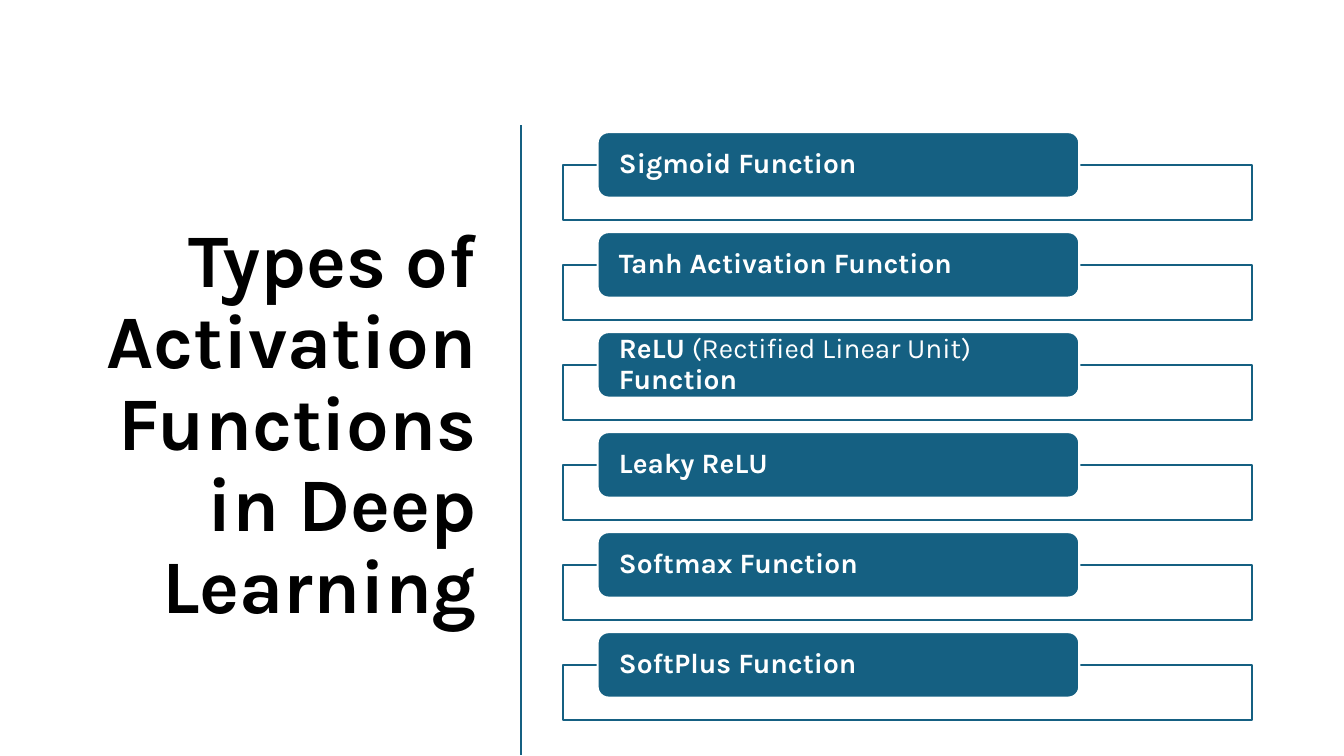
from dataclasses import dataclass

from lxml import etree
from pptx import Presentation
from pptx.dml.color import RGBColor
from pptx.enum.shapes import MSO_CONNECTOR, MSO_SHAPE
from pptx.enum.text import MSO_ANCHOR, MSO_AUTO_SIZE, PP_ALIGN
from pptx.oxml.ns import qn
from pptx.util import Cm, Pt

LEFT, RIGHT = PP_ALIGN.LEFT, PP_ALIGN.RIGHT
MIDDLE = MSO_ANCHOR.MIDDLE
NO_AUTOFIT = MSO_AUTO_SIZE.NONE
RECTANGLE, ROUNDED = MSO_SHAPE.RECTANGLE, MSO_SHAPE.ROUNDED_RECTANGLE
STRAIGHT = MSO_CONNECTOR.STRAIGHT
TITLE_ONLY = 5


@dataclass(frozen=True)
class Theme:
    font: str = "Karla"
    ink: str = "000000"
    accent: str = "156082"
    paper: str = "FFFFFF"
    title_size: int = 54
    label_size: int = 20
    outline: float = 1.5
    divider: float = 2
    line_spacing: float = 0.9


# Each label is a list of (text, bold) runs
FUNCTIONS = [
    [("Sigmoid Function", True)],
    [("Tanh Activation Function", True)],
    [("ReLU", True), (" (Rectified Linear Unit) ", False), ("Function", True)],
    [("Leaky ReLU", True)],
    [("Softmax Function", True)],
    [("SoftPlus Function", True)],
]
FIRST_ROW, ROW_PITCH = 3.33, 2.52


def write_text(frame, runs, *, font, size, color, spacing, align=LEFT, side=0.25, edge=0.13):
    frame.word_wrap = True
    frame.auto_size = NO_AUTOFIT
    frame.vertical_anchor = MIDDLE
    frame.margin_left = frame.margin_right = Cm(side)
    frame.margin_top = frame.margin_bottom = Cm(edge)
    paragraph = frame.paragraphs[0]
    paragraph.alignment = align
    paragraph.line_spacing = spacing
    paragraph.space_before = Pt(0)
    for text, bold in runs:
        run = paragraph.add_run()
        run.text = text
        run.font.name = font
        run.font.size = Pt(size)
        run.font.bold = bold
        run.font.color.rgb = RGBColor.from_string(color)


class SlideBuilder:
    def __init__(self, slide, theme):
        self.slide = slide
        self.theme = theme

    def title(self, text, left, top, width, height):
        title = self.slide.shapes.title
        title.left, title.top = Cm(left), Cm(top)
        title.width, title.height = Cm(width), Cm(height)
        write_text(title.text_frame, [(text, True)], font=self.theme.font,
                   size=self.theme.title_size, color=self.theme.ink,
                   spacing=self.theme.line_spacing, align=RIGHT)

    def divider(self, x, top, bottom):
        divider = self.slide.shapes.add_connector(STRAIGHT, Cm(x), Cm(top), Cm(x), Cm(bottom))
        divider.line.color.rgb = RGBColor.from_string(self.theme.accent)
        divider.line.width = Pt(self.theme.divider)
        etree.SubElement(divider._element.spPr, qn("a:effectLst"))

    def box(self, preset, left, top, width, height, fill, line):
        box = self.slide.shapes.add_shape(preset, Cm(left), Cm(top), Cm(width), Cm(height))
        box.shadow.inherit = False
        box.fill.solid()
        box.fill.fore_color.rgb = RGBColor.from_string(fill)
        box.line.color.rgb = RGBColor.from_string(line)
        box.line.width = Pt(self.theme.outline)
        return box

    def function_row(self, runs, top):
        theme = self.theme
        panel = self.box(RECTANGLE, 14.2, top + 0.82, 17.35, 1.4, theme.paper, theme.accent)
        panel_color = panel._element.spPr.find(qn("a:solidFill"))[0]
        etree.SubElement(panel_color, qn("a:alpha"), val="90000")
        label = self.box(ROUNDED, 15.06, top, 12.14, 1.65, theme.accent, theme.paper)
        write_text(label.text_frame, runs, font=theme.font, size=theme.label_size,
                   color=theme.paper, spacing=theme.line_spacing, side=0.46, edge=0)


def main():
    deck = Presentation()
    deck.slide_width, deck.slide_height = Cm(33.87), Cm(19.05)
    slide = deck.slides.add_slide(deck.slide_layouts[TITLE_ONLY])
    builder = SlideBuilder(slide, Theme())

    # Title and divider
    builder.title("Types of Activation Functions in Deep Learning", 1.31, 2.97, 10.95, 15.52)
    builder.divider(13.13, 3.15, 19.02)

    # List of activation functions
    for row, runs in enumerate(FUNCTIONS):
        builder.function_row(runs, FIRST_ROW + row * ROW_PITCH)

    deck.save("out.pptx")


if __name__ == "__main__":
    main()
